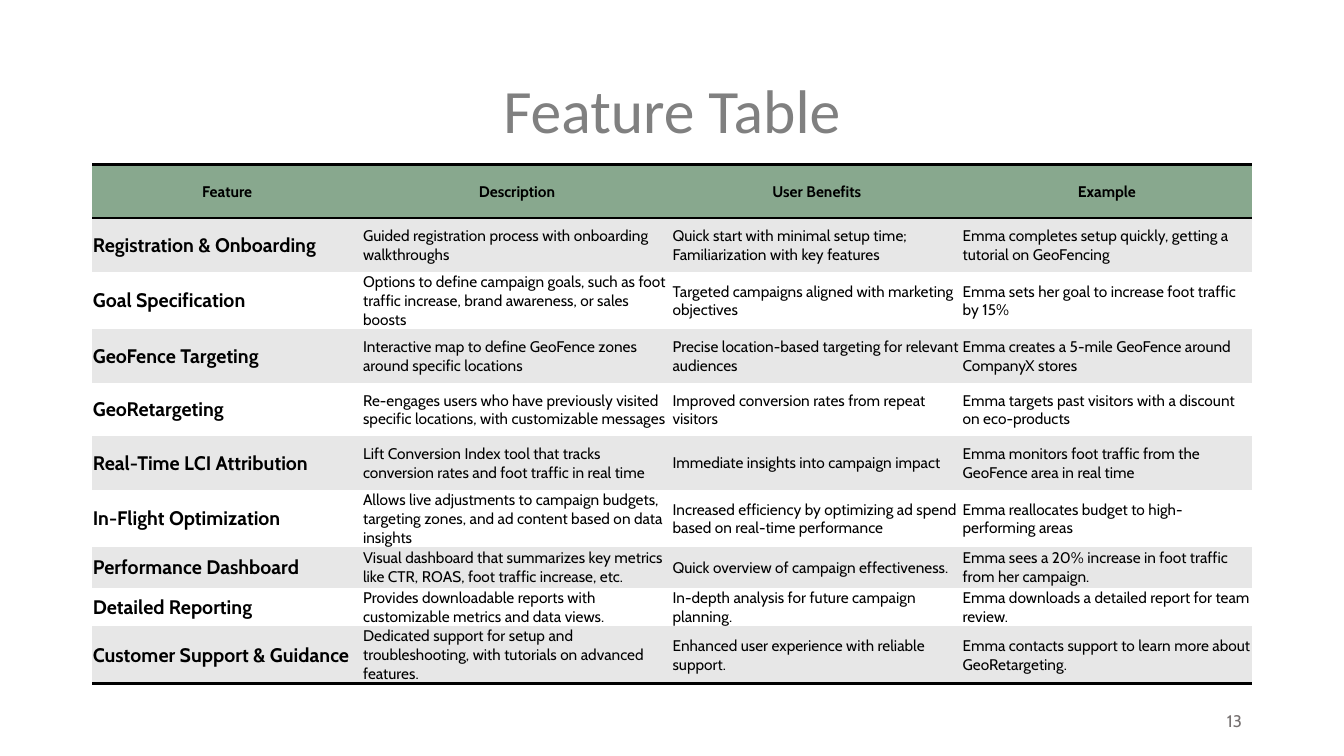
from lxml import etree
from pptx import Presentation
from pptx.dml.color import RGBColor
from pptx.enum.text import MSO_ANCHOR as Anchor, PP_ALIGN as Align
from pptx.oxml import parse_xml
from pptx.oxml.ns import qn
from pptx.util import Cm, Pt

BLACK = RGBColor(0x00, 0x00, 0x00)
WHITE = RGBColor(0xFF, 0xFF, 0xFF)
GREEN = RGBColor(0x88, 0xA8, 0x8E)
BAND = RGBColor(0xE7, 0xE7, 0xE7)
TITLE_GREY = RGBColor(0x80, 0x80, 0x80)
NUMBER_GREY = RGBColor(0x76, 0x71, 0x71)
PLAIN_TABLE_STYLE = "{2D5ABB26-0587-4C30-8999-92F81FD0307C}"
DRAWING_NS = "http://schemas.openxmlformats.org/drawingml/2006/main"

FEATURES = [
    ("Feature", "Description", "User Benefits", "Example"),
    ("Registration & Onboarding",
     "Guided registration process with onboarding walkthroughs",
     "Quick start with minimal setup time; Familiarization with key features",
     "Emma completes setup quickly, getting a tutorial on GeoFencing"),
    ("Goal Specification",
     "Options to define campaign goals, such as foot traffic increase, brand awareness, or sales boosts",
     "Targeted campaigns aligned with marketing objectives",
     "Emma sets her goal to increase foot traffic by 15%"),
    ("GeoFence Targeting",
     "Interactive map to define GeoFence zones around specific locations",
     "Precise location-based targeting for relevant audiences",
     "Emma creates a 5-mile GeoFence around CompanyX stores"),
    ("GeoRetargeting",
     "Re-engages users who have previously visited specific locations, with customizable messages",
     "Improved conversion rates from repeat visitors",
     "Emma targets past visitors with a discount on eco-products"),
    ("Real-Time LCI Attribution",
     "Lift Conversion Index tool that tracks conversion rates and foot traffic in real time",
     "Immediate insights into campaign impact",
     "Emma monitors foot traffic from the GeoFence area in real time"),
    ("In-Flight Optimization",
     "Allows live adjustments to campaign budgets, targeting zones, and ad content based on data insights",
     "Increased efficiency by optimizing ad spend based on real-time performance",
     "Emma reallocates budget to high-performing areas"),
    ("Performance Dashboard",
     "Visual dashboard that summarizes key metrics like CTR, ROAS, foot traffic increase, etc.",
     "Quick overview of campaign effectiveness.",
     "Emma sees a 20% increase in foot traffic from her campaign."),
    ("Detailed Reporting",
     "Provides downloadable reports with customizable metrics and data views.",
     "In-depth analysis for future campaign planning.",
     "Emma downloads a detailed report for team review."),
    ("Customer Support & Guidance",
     "Dedicated support for setup and troubleshooting, with tutorials on advanced features.",
     "Enhanced user experience with reliable support.",
     "Emma contacts support to learn more about GeoRetargeting."),
]
COLUMN_WIDTHS = [6.81, 7.8, 7.31, 7.31]
ROW_HEIGHTS = [1.35] * 6 + [1.02, 1.02, 0.79, 1.02]


def write_text(text_frame, text, name, size, color, align, bold=False):
    paragraph = text_frame.paragraphs[0]
    paragraph.alignment = align
    run = paragraph.add_run()
    run.text = text
    font_values = {"name": name, "size": Pt(size), "bold": bold}
    for attribute, value in font_values.items():
        setattr(run.font, attribute, value)
    run.font.color.rgb = color
    return paragraph


def add_border(cell, tag):
    # Border lines must come before the fill in the cell properties
    line = parse_xml(
        f'<a:{tag} xmlns:a="{DRAWING_NS}" w="{Pt(2)}"><a:solidFill>'
        f'<a:srgbClr val="{BLACK}"/></a:solidFill></a:{tag}>')
    cell._tc.get_or_add_tcPr().insert(0, line)


presentation = Presentation()
presentation.slide_width = Cm(33.87)
presentation.slide_height = Cm(19.05)
slide = presentation.slides.add_slide(presentation.slide_layouts[5])

# Title
title = slide.shapes.title
title_place = {"left": Cm(2.33), "top": Cm(1.01), "width": Cm(29.21), "height": Cm(3.69)}
for attribute, value in title_place.items():
    setattr(title, attribute, value)
title.text_frame.vertical_anchor = Anchor.MIDDLE
heading = write_text(title.text_frame, "Feature Table", "Calibri", 44, TITLE_GREY, Align.CENTER)
heading.line_spacing = 0.9

# Feature table
frame = slide.shapes.add_table(
    len(FEATURES), len(COLUMN_WIDTHS), Cm(2.32), Cm(4.15),
    Cm(sum(COLUMN_WIDTHS)), Cm(sum(ROW_HEIGHTS)))
table = frame.table
table.horz_banding = False
table._tbl.tblPr.find(qn("a:tableStyleId")).text = PLAIN_TABLE_STYLE
for column, width in zip(table.columns, COLUMN_WIDTHS):
    column.width = Cm(width)
for row, height in zip(table.rows, ROW_HEIGHTS):
    row.height = Cm(height)

cell_values = {
    "margin_left": Cm(0.02), "margin_right": Cm(0.02), "margin_top": Cm(0.02),
    "margin_bottom": 0, "vertical_anchor": Anchor.MIDDLE,
}
last_row = len(FEATURES) - 1
for row_index, texts in enumerate(FEATURES):
    is_header = row_index == 0
    for column_index, text in enumerate(texts):
        is_name = column_index == 0
        cell = table.cell(row_index, column_index)
        for attribute, value in cell_values.items():
            setattr(cell, attribute, value)
        cell.fill.solid()
        cell.fill.fore_color.rgb = GREEN if is_header else BAND if row_index % 2 else WHITE
        write_text(
            cell.text_frame, text, "Cabin", 14 if is_name and not is_header else 11,
            BLACK, Align.CENTER if is_header else Align.LEFT, is_header or is_name)
        if row_index in (0, last_row):
            add_border(cell, "lnB")
        if is_header:
            add_border(cell, "lnT")

# Page number
number_box = slide.shapes.add_textbox(Cm(23.93), Cm(17.65), Cm(7.62), Cm(1.02))
number_box.text_frame.word_wrap = True
number_box.text_frame.vertical_anchor = Anchor.MIDDLE
write_text(number_box.text_frame, "13", "Cabin", 12, NUMBER_GREY, Align.RIGHT)

presentation.save("out.pptx")
